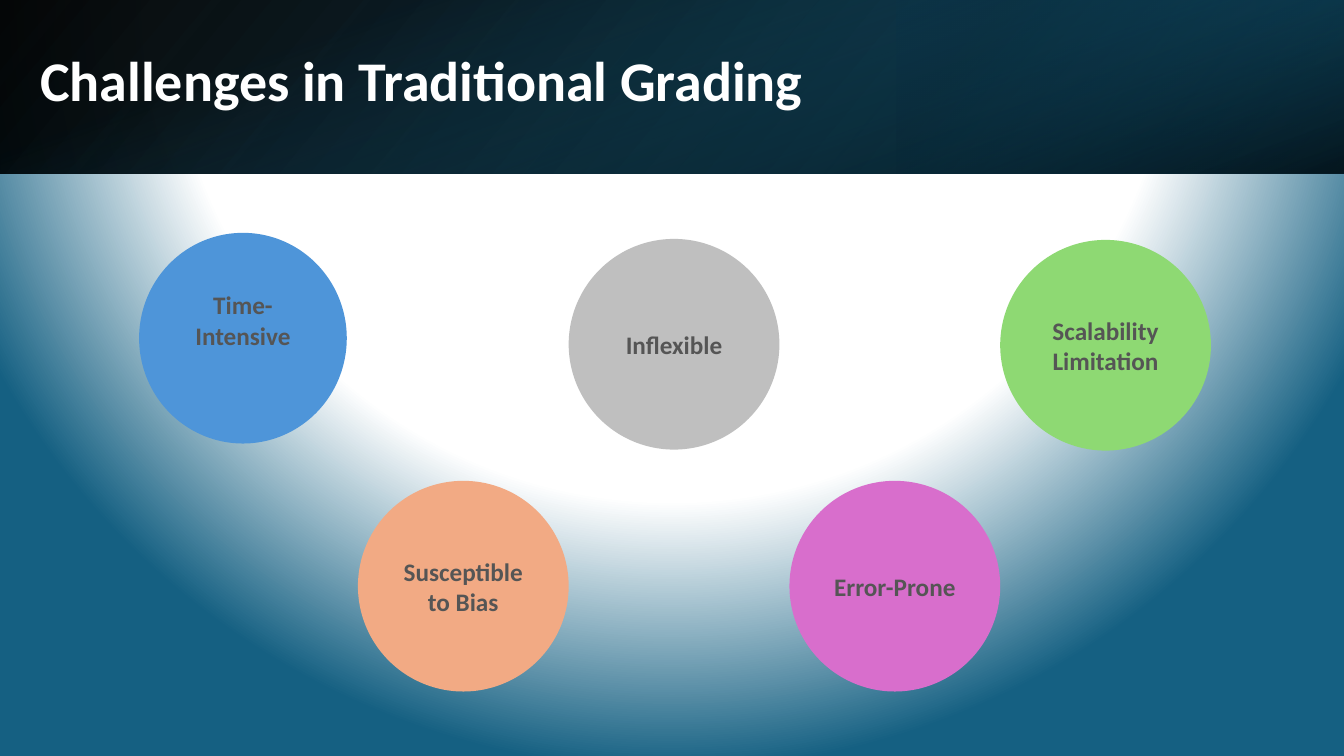
from pptx import Presentation
from pptx import util as u
from pptx.dml.color import RGBColor
from pptx.enum import shapes, text
from pptx.oxml import parse_xml
from pptx.oxml.ns import nsdecls, qn

HUES = {
    "white": "FFFFFF", "black": "000000", "gray": "555555",
    "teal": "156082", "deep": "104862", "night": "0B3041",
    "blue": "4E95D9", "silver": "BFBFBF", "peach": "F2AA84",
    "pink": "D86ECC", "green": "8ED973",
}
RAYS = ('<a:path path="circle">'
        '<a:fillToRect l="50000" t="-80000" r="50000" b="180000"/></a:path>')


class Deck:
    font = "Calibri"

    def __init__(self, show):
        self.slide = show.slides.add_slide(show.slide_layouts[6])

    def blend(self, host, stops, shade):
        marks = "".join(
            f'<a:gs pos="{pos * 1000}"><a:srgbClr val="{HUES[hue]}">'
            f'<a:alpha val="{alpha * 1000}"/></a:srgbClr></a:gs>'
            for pos, hue, alpha in stops)
        grad = parse_xml(f'<a:gradFill {nsdecls("a")} rotWithShape="1">'
                         f'<a:gsLst>{marks}</a:gsLst>{shade}</a:gradFill>')
        host.replace(host.find(qn("a:solidFill")), grad)

    def back(self, stops):
        self.slide.background.fill.solid()
        self.slide.background.fill.fore_color.rgb = RGBColor.from_string(HUES["white"])
        self.blend(self.slide.element.find(".//" + qn("p:bgPr")), stops, RAYS)

    def shape(self, kind, box, hue):
        item = self.slide.shapes.add_shape(kind, *map(u.Inches, box))
        item.shadow.inherit = False
        item.fill.solid()
        item.fill.fore_color.rgb = RGBColor.from_string(HUES[hue])
        item.line.fill.background()
        return item

    def band(self, box, stops, angle, turn=0, flip=False):
        item = self.shape(shapes.MSO_SHAPE.RECTANGLE, box, "black")
        item.rotation = turn
        if flip:
            item.element.spPr.find(qn("a:xfrm")).set("flipH", "1")
        self.blend(item.element.spPr, stops,
                   f'<a:lin ang="{angle * 60000}" scaled="0"/>')

    def words(self, item, words, size, hue, align):
        frame = item.text_frame
        frame.word_wrap = True
        frame.vertical_anchor = text.MSO_ANCHOR.MIDDLE
        para = frame.paragraphs[0]
        para.alignment = align
        run = para.add_run()
        run.text = words
        run.font.name = self.font
        run.font.size = u.Pt(size)
        run.font.bold = True
        run.font.color.rgb = RGBColor.from_string(HUES[hue])
        return frame

    def title(self, box, words):
        item = self.slide.shapes.add_textbox(*map(u.Inches, box))
        frame = self.words(item, words, 40, "white", text.PP_ALIGN.LEFT)
        frame.paragraphs[0].line_spacing = 0.9

    def disc(self, box, words, hue, lift=0):
        item = self.shape(shapes.MSO_SHAPE.FLOWCHART_CONNECTOR, box, hue)
        frame = self.words(item, words, 18, "gray", text.PP_ALIGN.CENTER)
        frame.margin_bottom = u.Inches(0.05 + 2 * lift)


def main():
    show = Presentation()
    wide, high, head = 13.33, 7.5, 1.72
    show.slide_width, show.slide_height = u.Inches(wide), u.Inches(high)
    deck = Deck(show)

    deck.back([(35, "white", 100), (65, "white", 100), (100, "teal", 100)])
    deck.band((0, 0, wide, head),
              [(0, "black", 96), (100, "deep", 100)], 140, flip=True)
    deck.band((8.89, 0, 4.44, head),
              [(19, "night", 68), (100, "teal", 79)], 320, turn=180, flip=True)
    deck.band(((wide - head) / 2, (head - wide) / 2, head, wide),
              [(23, "teal", 0), (99, "black", 74)], 340, turn=90)
    deck.title((0.3, 0.35, 10.98, 0.96), "Challenges in Traditional Grading")

    size = 2.09
    deck.disc((1.38, 2.31, 2.06, size), "Time-Intensive", "blue", lift=0.18)
    for left, top, words, hue in [
        (5.64, 2.37, "Inflexible", "silver"),
        (3.55, 4.77, "Susceptible to Bias", "peach"),
        (7.83, 4.77, "Error-Prone", "pink"),
        (9.92, 2.38, "Scalability Limitation", "green"),
    ]:
        deck.disc((left, top, size, size), words, hue)
    show.save("out.pptx")


if __name__ == "__main__":
    main()
